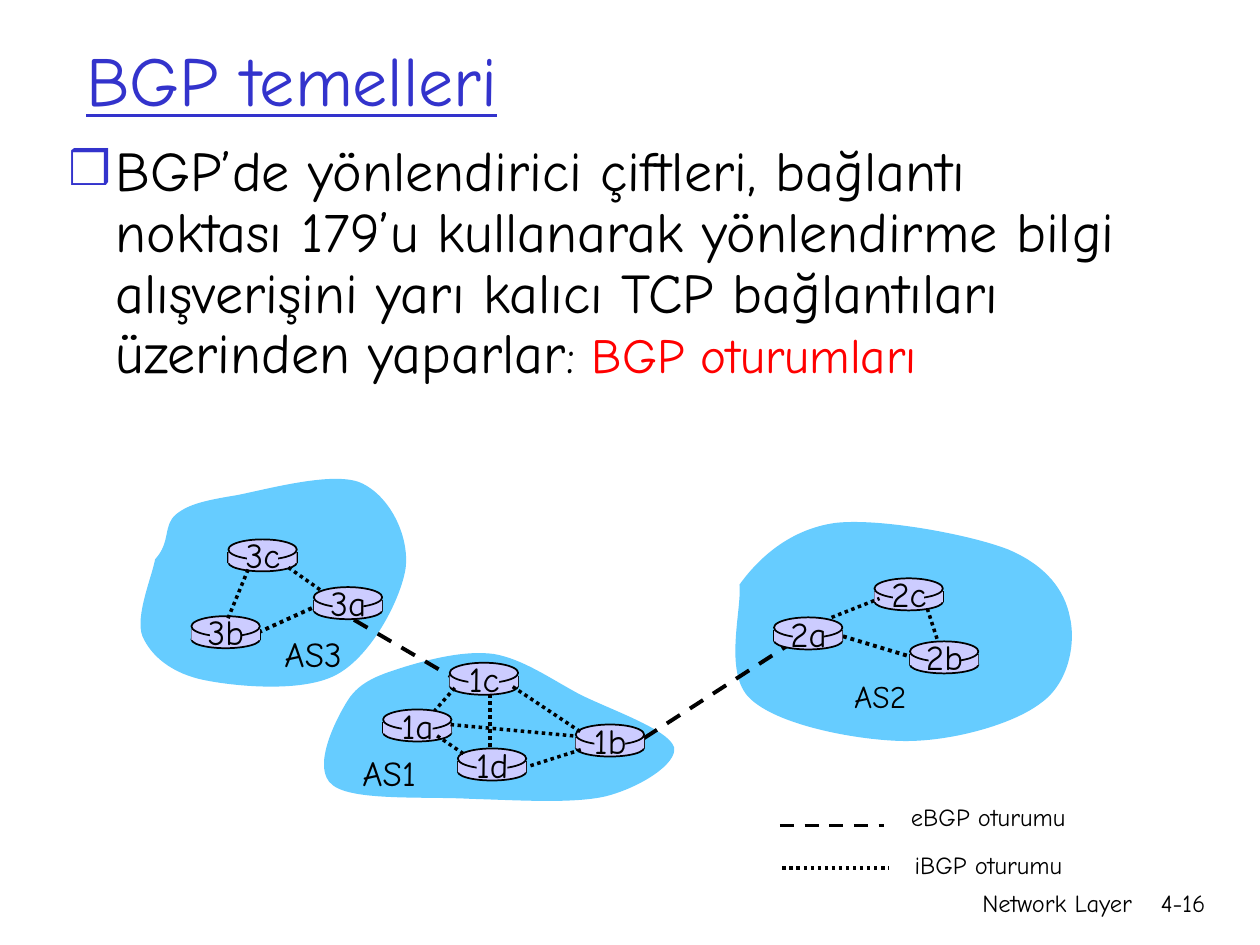
from lxml.etree import SubElement
from pptx import Presentation
from pptx.dml.color import RGBColor
from pptx.enum.dml import MSO_LINE
from pptx.enum.shapes import MSO_CONNECTOR, MSO_SHAPE
from pptx.enum.text import MSO_ANCHOR, MSO_AUTO_SIZE, PP_ALIGN
from pptx.oxml.ns import qn
from pptx.util import Pt

FONT = "Comic Neue"
COLORS = {"ink": "000000", "title": "3333CC", "accent": "FF0000",
          "cloud": "66CCFF", "router": "CCCCFF"}
LEFT, CENTER, RIGHT = PP_ALIGN.LEFT, PP_ALIGN.CENTER, PP_ALIGN.RIGHT

TITLE = "BGP temelleri"
BODY = [  # text, size, colour
    ("BGP’de yönlendirici çiftleri, bağlantı noktası 179’u kullanarak yönlendirme "
     "bilgi alışverişini yarı kalıcı TCP bağlantıları üzerinden yaparlar", 32, "ink"),
    (": ", 28, "ink"),
    ("BGP oturumları", 28, "accent"),
]
FOOTERS = [  # text, box
    ("Network Layer", (426, 504, 228, 36)),
    ("4-16", (643, 504, 53, 36)),
]
LABELS = [  # text, size, box
    ("AS3", 20, (155.5, 358, 47, 31.7)),
    ("AS1", 20, (200, 425.7, 45, 31.7)),
    ("AS2", 18, (481, 383.3, 44, 29)),
    ("eBGP oturumu", 14, (513.5, 455, 103, 24.5)),
    ("iBGP oturumu", 14, (515.5, 482.3, 99, 24.5)),
]

# Each cloud: a start point, then Bezier segments (control, control, end).
CLOUDS = {
    "AS2": [(422.6, 334.1),
            (433.4, 319), (451.4, 302.4), (477.4, 298.8),
            (502.6, 295.9), (553.7, 305.3), (576, 313.9),
            (598.3, 323.3), (608.4, 337.7), (611.3, 352.1),
            (614.9, 366.5), (611.3, 390.2), (594.7, 401.8),
            (578.9, 414), (542.9, 424.1), (514.8, 423.4),
            (487.4, 422.6), (443.5, 414), (428.4, 398.9),
            (413.3, 384.5), (424.1, 347.8), (422.6, 334.1)],
    "AS3": [(88.6, 319.7),
            (97.9, 309.6), (92.9, 300.2), (100.8, 293.8),
            (108, 288), (118.1, 285.8), (135.4, 283),
            (153.4, 279.4), (190.1, 269.3), (205.9, 275.8),
            (222.5, 283), (234, 306), (231.8, 324.7),
            (229, 342.7), (212.4, 374.4), (193, 385.2),
            (174.2, 396), (135.4, 392.4), (117.4, 388.8),
            (98.6, 385.2), (86.4, 375.1), (81.4, 363.6),
            (77, 352.1), (87.1, 329), (88.6, 319.7)],
    "AS1": [(198.7, 400.3),
            (205.9, 388.8), (218.2, 385.2), (231.8, 380.9),
            (246.2, 376.6), (265.7, 371.5), (282.2, 373.7),
            (298.8, 376.6), (313.9, 387.4), (331.2, 396.7),
            (348.5, 405.4), (382.3, 416.9), (385.2, 427),
            (387.4, 436.3), (365.8, 450), (346.3, 455),
            (327.6, 459.4), (295.2, 457.2), (269.3, 456.5),
            (243.4, 455), (201.6, 457.9), (190.1, 448.6),
            (177.8, 439.2), (191.5, 411.8), (198.7, 400.3)],
}
ROUTERS = {  # left and top of the upper disc
    "3b": (109.4, 352.1), "1d": (261.6, 427.7), "3a": (179.3, 335.5),
    "1c": (257, 378.7), "2a": (442.3, 352.8), "1a": (218.9, 405.4),
    "2c": (499.7, 330.5), "2b": (520, 366.5), "1b": (329, 414),
    "3c": (130.5, 308.2),
}
ROUTER_W = 39.1
EBGP, IBGP = MSO_LINE.DASH, MSO_LINE.ROUND_DOT
LINKS_BEHIND = [
    (IBGP, (481.7, 363.6, 519.8, 375.1)),
    (IBGP, (147.6, 361.4, 179.3, 347)),
    (EBGP, (202.3, 354.2, 257.8, 386.6)),
    (EBGP, (367.9, 421.9, 449.3, 369.4)),
]
LINKS_FRONT = [
    (IBGP, (259.9, 393.1, 248.4, 406.1)),
    (IBGP, (280.1, 396.7, 280.1, 427)),
    (IBGP, (293, 392.4, 331.9, 418.3)),
    (IBGP, (331.9, 428.4, 302.4, 437.8)),
    (IBGP, (327.6, 420.5, 257, 414)),
    (IBGP, (475.2, 352.8, 502.6, 342)),
    (IBGP, (182.9, 337, 163.4, 323.3)),
    (IBGP, (141.8, 325.4, 129.6, 355)),
    (IBGP, (529.9, 347.8, 535.7, 365.8)),
    (IBGP, (249.8, 420.5, 265.7, 431.3)),
    (EBGP, (445.7, 471.6, 505.4, 471.6)),
    (IBGP, (447.1, 496.1, 507.6, 496.1)),
]


def rgb(name):
    return RGBColor.from_string(COLORS[name])


def pts(values):
    return [Pt(v) for v in values]


def add_run(p, text, size, color="ink", **extra):
    r = p.add_run()
    r.text = text
    r.font.color.rgb = rgb(color)
    for name, value in {"name": FONT, "size": Pt(size), **extra}.items():
        setattr(r.font, name, value)


def add_text(s, box, runs, align=LEFT, wrap=False):
    tf = s.shapes.add_textbox(*pts(box)).text_frame
    tf.word_wrap = wrap
    tf.auto_size = MSO_AUTO_SIZE.NONE if wrap else MSO_AUTO_SIZE.SHAPE_TO_FIT_TEXT
    p = tf.paragraphs[0]
    p.alignment = align
    for run in runs:
        add_run(p, *run)
    return p


def paint(sp, fill, outlined=False):
    sp.shadow.inherit = False
    sp.fill.solid()
    sp.fill.fore_color.rgb = rgb(fill)
    if outlined:
        sp.line.color.rgb = rgb("ink")
        sp.line.width = Pt(1)
    else:
        sp.line.fill.background()


def add_line(s, ends, width, dash=None):
    line = s.shapes.add_connector(MSO_CONNECTOR.STRAIGHT, *pts(ends))
    line.line.color.rgb = rgb("ink")
    line.line.width = Pt(width)
    if dash:
        line.line.dash_style = dash
    SubElement(line._element.spPr, qn("a:effectLst"))


def add_cloud(s, nodes):
    """Draw the nodes as a polygon, then turn each three segments into one curve."""
    builder = s.shapes.build_freeform(*pts(nodes[0]))
    builder.add_line_segments([pts(node) for node in nodes[1:]], close=True)
    sp = builder.convert_to_shape()
    paint(sp, "cloud")
    outline = next(sp._element.iter(qn("a:path")))
    segments = outline.findall(qn("a:lnTo"))
    for i in range(0, len(segments), 3):
        curve = SubElement(outline, qn("a:cubicBezTo"))
        segments[i].addprevious(curve)
        for segment in segments[i:i + 3]:
            curve.append(segment[0])
            outline.remove(segment)


def add_router(s, name, x, y):
    def part(kind, dx, dy, w, h, outlined=False):
        paint(s.shapes.add_shape(kind, *pts((x + dx, y + dy, w, h))), "router", outlined)

    part(MSO_SHAPE.OVAL, 0, 8.3, ROUTER_W, 10, True)
    for side in (x, x + ROUTER_W):
        add_line(s, (side, y + 7.4, side, y + 13.6), 1)
    part(MSO_SHAPE.RECTANGLE, 0, 7.4, ROUTER_W, 6.3)
    part(MSO_SHAPE.OVAL, 0, 0, ROUTER_W, 11.6, True)
    part(MSO_SHAPE.RECTANGLE, 10.7, 1.5, 17.6, 15)
    add_text(s, (x + 2, y - 6.6, 35.5, 31.7), [(name, 20)], CENTER)


def add_title(s):
    title = s.shapes.title
    title.left, title.top, title.width, title.height = pts((42, 0, 612, 90))
    tf = title.text_frame
    tf.auto_size = MSO_AUTO_SIZE.NONE
    tf.vertical_anchor = MSO_ANCHOR.MIDDLE
    tf.paragraphs[0].alignment = LEFT
    add_run(tf.paragraphs[0], TITLE, 40, "title", underline=True)


def add_body(s):
    p = add_text(s, (32, 78.5, 622, 182), BODY, wrap=True)
    p.line_spacing, p.space_before = 0.9, Pt(7)
    pPr = p._p.get_or_add_pPr()
    pPr.set("marL", str(Pt(27)))
    pPr.set("indent", str(Pt(-27)))
    color = SubElement(pPr, qn("a:buClr"))
    SubElement(color, qn("a:srgbClr"), val=COLORS["title"])
    SubElement(pPr, qn("a:buSzPct"), val="85000")
    SubElement(pPr, qn("a:buFont"), typeface=FONT)
    SubElement(pPr, qn("a:buChar"), char="❒")


def main():
    prs = Presentation()
    prs.slide_width, prs.slide_height = Pt(720), Pt(540)
    s = prs.slides.add_slide(prs.slide_layouts[5])
    add_title(s)
    add_body(s)
    for text, box in FOOTERS:
        add_text(s, box, [(text, 14)], RIGHT, wrap=True)
    for nodes in CLOUDS.values():
        add_cloud(s, nodes)
    for dash, ends in LINKS_BEHIND:
        add_line(s, ends, 2.25, dash)
    for name, (x, y) in ROUTERS.items():
        add_router(s, name, x, y)
    for dash, ends in LINKS_FRONT:
        add_line(s, ends, 2, dash)
    for text, size, box in LABELS:
        add_text(s, box, [(text, size)])
    prs.save("out.pptx")


if __name__ == "__main__":
    main()
